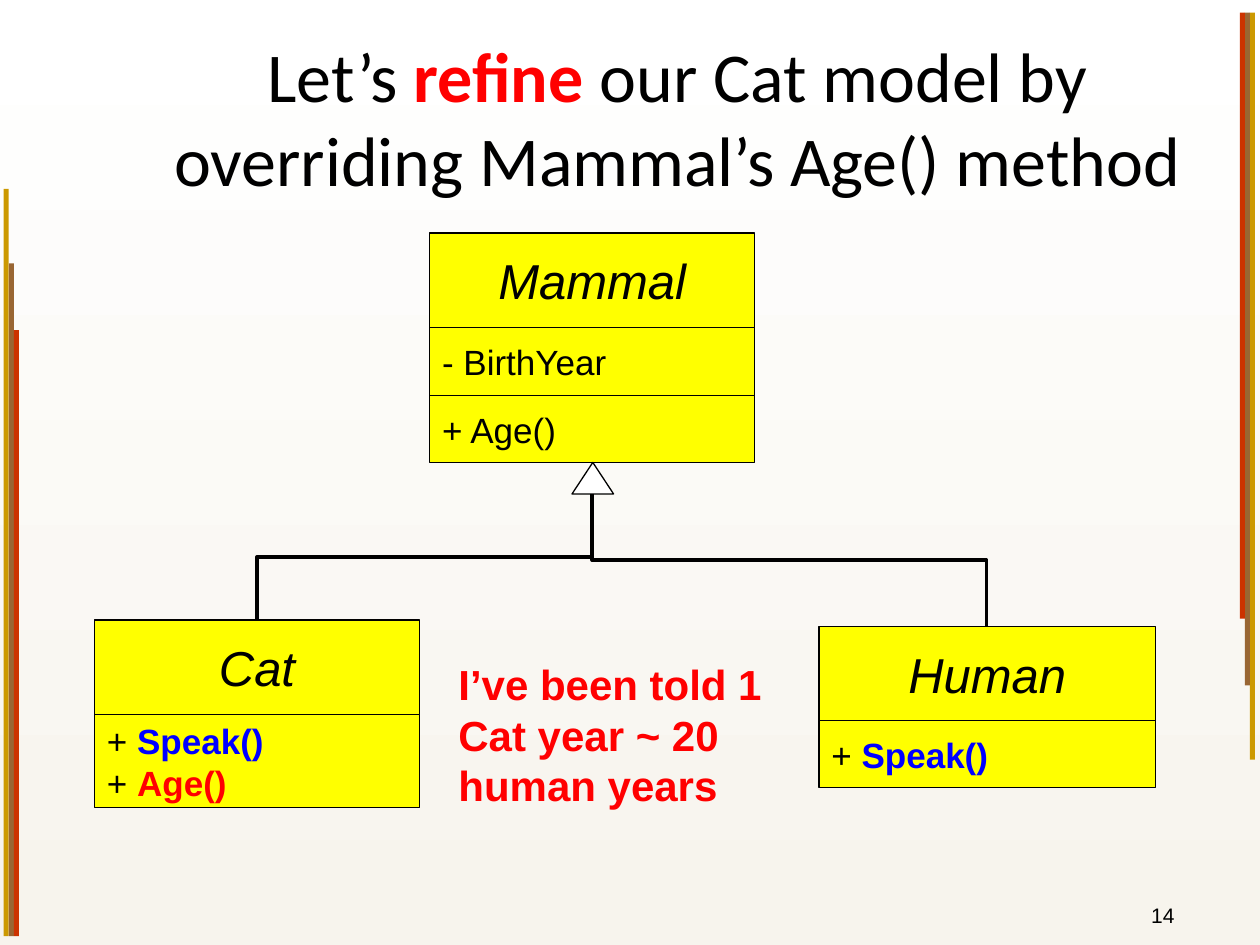
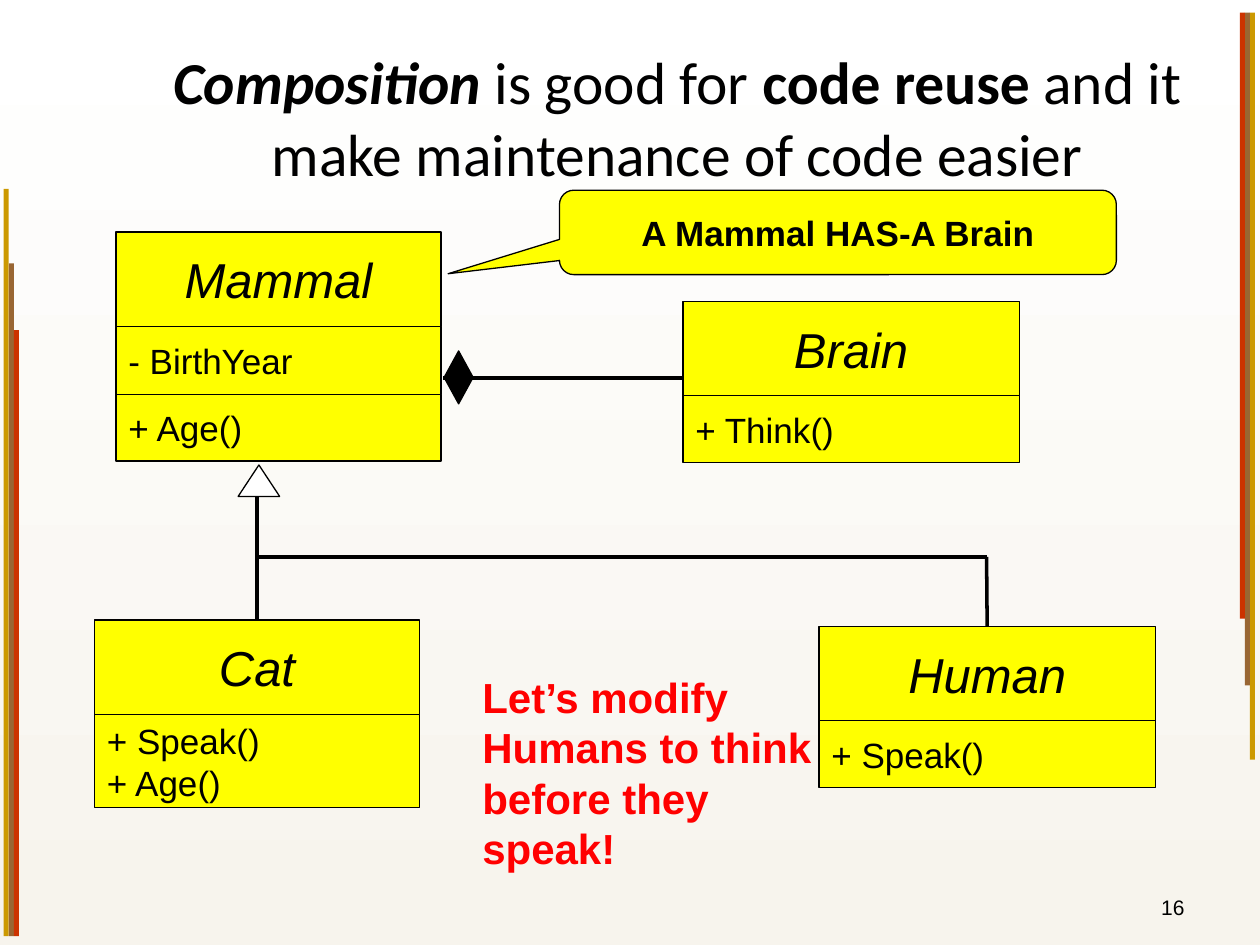
from lxml import etree
from pptx import Presentation
from pptx import util as u
from pptx.dml.color import RGBColor
from pptx.enum import shapes, text
from pptx.oxml import ns

BLACK = RGBColor(0x00, 0x00, 0x00)
WHITE = RGBColor(0xFF, 0xFF, 0xFF)
CREAM = RGBColor(0xF7, 0xF4, 0xED)
YELLOW = RGBColor(0xFF, 0xFF, 0x00)
RED = RGBColor(0xFF, 0x00, 0x00)
BLUE = RGBColor(0x00, 0x00, 0xFF)
GOLD = RGBColor(0xCC, 0x99, 0x00)
BROWN = RGBColor(0x99, 0x66, 0x33)
RUST = RGBColor(0xCC, 0x33, 0x00)

SHAPE = shapes.MSO_SHAPE
LINE = shapes.MSO_CONNECTOR
ALIGN = text.PP_ALIGN
ANCHOR = text.MSO_ANCHOR

TITLE = {"name": "Calibri"}
CLASS_NAME = {"size": u.Pt(28), "italic": True}
MEMBER = {"size": u.Pt(20)}
NOTE = {"size": u.Pt(24), "bold": True, "color": RED}
NUMBER = {"size": u.Pt(12)}
BOLD = {"bold": True}
BOLD_RED = {"bold": True, "color": RED}
BOLD_BLUE = {"bold": True, "color": BLUE}

BANDS = [(GOLD, 5.93), (BROWN, 5.34), (RUST, 4.81)]
BAND_WIDTH = 0.04
TITLE_AREA = (1.25, 0.3, 8.25, 1.25)
NAME_HEIGHT = 0.75
TREE_Y = 4.42  # height of the inheritance branch
TRIANGLE = (0.33, 0.25)

PAGES = [
    {
        "title": [("Let’s ", {}), ("refine ", BOLD_RED),
                  ("our Cat model by overriding Mammal’s Age() method", {})],
        "title_size": 40,
        "number": ("14", (8.75, 7.08, 0.67, 0.33)),
        "note": ("I’ve been told 1 Cat year ~ 20 human years", (3.54, 5.18, 2.96, 1.31)),
        "triangle": (4.54, 3.67),
        # name, left, top, width, [(member lines, height)]
        "classes": [
            ("Mammal", 3.41, 1.85, 2.58, [([[("- BirthYear", {})]], 0.54),
                                          ([[("+ Age()", {})]], 0.53)]),
            ("Cat", 0.75, 4.92, 2.58, [([[("+ ", {}), ("Speak()", BOLD_BLUE)],
                                         [("+ ", {}), ("Age()", BOLD_RED)]], 0.74)]),
            ("Human", 6.5, 4.97, 2.67, [([[("+ ", {}), ("Speak()", BOLD_BLUE)]], 0.53)]),
        ],
    },
    {
        "title": [("Composition", {"bold": True, "italic": True}), (" is good for ", {}),
                  ("code reuse", BOLD), (" and it make maintenance of code easier", {})],
        "title_size": 34,
        "number": ("16", (7.17, 6.83, 2.33, 0.52)),
        "note": ("Let’s modify Humans to think before they speak!", (3.73, 5.28, 2.96, 1.72)),
        "triangle": (1.89, 3.69),
        "classes": [
            ("Mammal", 0.92, 1.84, 2.58, [([[("- BirthYear", {})]], 0.54),
                                          ([[("+ Age()", {})]], 0.53)]),
            ("Cat", 0.75, 4.92, 2.58, [([[("+ Speak()", {})], [("+ Age()", {})]], 0.74)]),
            ("Human", 6.5, 4.97, 2.67, [([[("+ Speak()", {})]], 0.53)]),
            ("Brain", 5.42, 2.39, 2.67, [([[("+ Think()", {})]], 0.53)]),
        ],
    },
]


def add_box(page, kind, area, lines=(), style={}, fill=None, line=BLACK,
            align=ALIGN.LEFT, anchor=ANCHOR.MIDDLE):
    """Add a preset shape, or a text box if kind is None; lines hold (words, format) spans."""
    lengths = [u.Inches(length) for length in area]
    if kind is None:
        box = page.shapes.add_textbox(*lengths)
    else:
        box = page.shapes.add_shape(kind, *lengths)
        box.shadow.inherit = False
        box.fill.solid()
        box.fill.fore_color.rgb = fill
        if line is None:
            box.line.fill.background()
        else:
            box.line.color.rgb = line
            box.line.width = u.Pt(0.75)
    frame = box.text_frame
    frame.word_wrap = True
    frame.vertical_anchor = anchor
    for index, spans in enumerate(lines):
        para = frame.add_paragraph() if index else frame.paragraphs[0]
        para.alignment = align
        for words, extra in spans:
            span = para.add_run()
            span.text = words
            values = {"name": "Arial", "color": BLACK, **style, **extra}
            span.font.color.rgb = values.pop("color")
            for attribute, value in values.items():
                setattr(span.font, attribute, value)
    return box


def add_line(page, kind, *ends):
    connector = page.shapes.add_connector(kind, *[u.Inches(end) for end in ends])
    connector.line.color.rgb = BLACK
    connector.line.width = u.Pt(2)
    etree.SubElement(connector._element.spPr, ns.qn("a:effectLst"))
    return connector


deck = Presentation()
deck.slide_width, deck.slide_height = u.Inches(10), u.Inches(7.5)
pages, class_boxes = [], []

# Everything the two slides share
for content in PAGES:
    page = deck.slides.add_slide(deck.slide_layouts[6])
    pages.append(page)
    background = page.background.fill
    background.gradient()
    background.gradient_angle = 270
    for stop, color, position in zip(background.gradient_stops, (WHITE, CREAM), (0, 1)):
        stop.color.rgb = color
        stop.position = position

    for index, (color, height) in enumerate(BANDS):
        shift = index * BAND_WIDTH
        for left, top in ((0.03 + shift, 7.43 - height), (9.92 - shift, 0.1)):
            add_box(page, SHAPE.RECTANGLE, (left, top, BAND_WIDTH, height),
                    fill=color, line=None)

    add_box(page, None, TITLE_AREA, [content["title"]],
            {**TITLE, "size": u.Pt(content["title_size"])}, align=ALIGN.CENTER)
    number, area = content["number"]
    add_box(page, None, area, [[(number, {})]], NUMBER,
            align=ALIGN.RIGHT, anchor=ANCHOR.BOTTOM)
    note, area = content["note"]
    add_box(page, None, area, [[(note, {})]], NOTE, anchor=ANCHOR.TOP)

    boxes = {}
    for name, left, top, width, sections in content["classes"]:
        boxes[name] = add_box(page, SHAPE.RECTANGLE, (left, top, width, NAME_HEIGHT),
                              [[(name, {})]], CLASS_NAME, YELLOW, align=ALIGN.CENTER)
        top += NAME_HEIGHT
        for members, height in sections:
            add_box(page, SHAPE.RECTANGLE, (left, top, width, height),
                    members, MEMBER, YELLOW)
            top += height
    class_boxes.append(boxes)
    add_box(page, SHAPE.ISOSCELES_TRIANGLE, content["triangle"] + TRIANGLE, fill=WHITE)

# Slide 1: elbows from the triangle down to each subclass, as turned connectors
start_x, start_y = 4.7, 3.92
for end_x, end_y, turn in ((7.83, 4.97, 270), (2.04, 4.92, 90)):
    middle_x, middle_y = (start_x + end_x) / 2, (start_y + end_y) / 2
    half_width = (end_y - start_y) / 2 * (1 if turn == 270 else -1)
    half_height = abs(end_x - start_x) / 2
    elbow = add_line(pages[0], LINE.ELBOW,
                     middle_x + half_width, middle_y - half_height,
                     middle_x - half_width, middle_y + half_height)
    elbow._element.spPr.find(ns.qn("a:xfrm")).set("rot", str(turn * 60000))

# Slide 2: inheritance tree
page, boxes = pages[1], class_boxes[1]
add_line(page, LINE.STRAIGHT, 2.04, 3.94, 2.04, TREE_Y)
add_line(page, LINE.STRAIGHT, 2.04, TREE_Y, 7.83, TREE_Y)
for name, x, y in (("Cat", 2.04, 4.92), ("Human", 7.83, 4.97)):
    add_line(page, LINE.STRAIGHT, x, TREE_Y, x, y).end_connect(boxes[name], 0)

# Slide 2: composition link and callout
diamond = add_box(page, SHAPE.DIAMOND, (3.43, 2.88, 0.42, 0.23), fill=BLACK)
diamond.rotation = 270
add_line(page, LINE.STRAIGHT, 3.52, 3, 5.42, 3)
callout = add_box(page, SHAPE.ROUNDED_RECTANGULAR_CALLOUT, (4.44, 1.51, 4.42, 0.67),
                  [[("A Mammal HAS-A Brain", BOLD)]], MEMBER, YELLOW, align=ALIGN.CENTER)
for index, value in enumerate((-0.7, 0.49, 0.17)):
    callout.adjustments[index] = value

deck.save("out.pptx")
